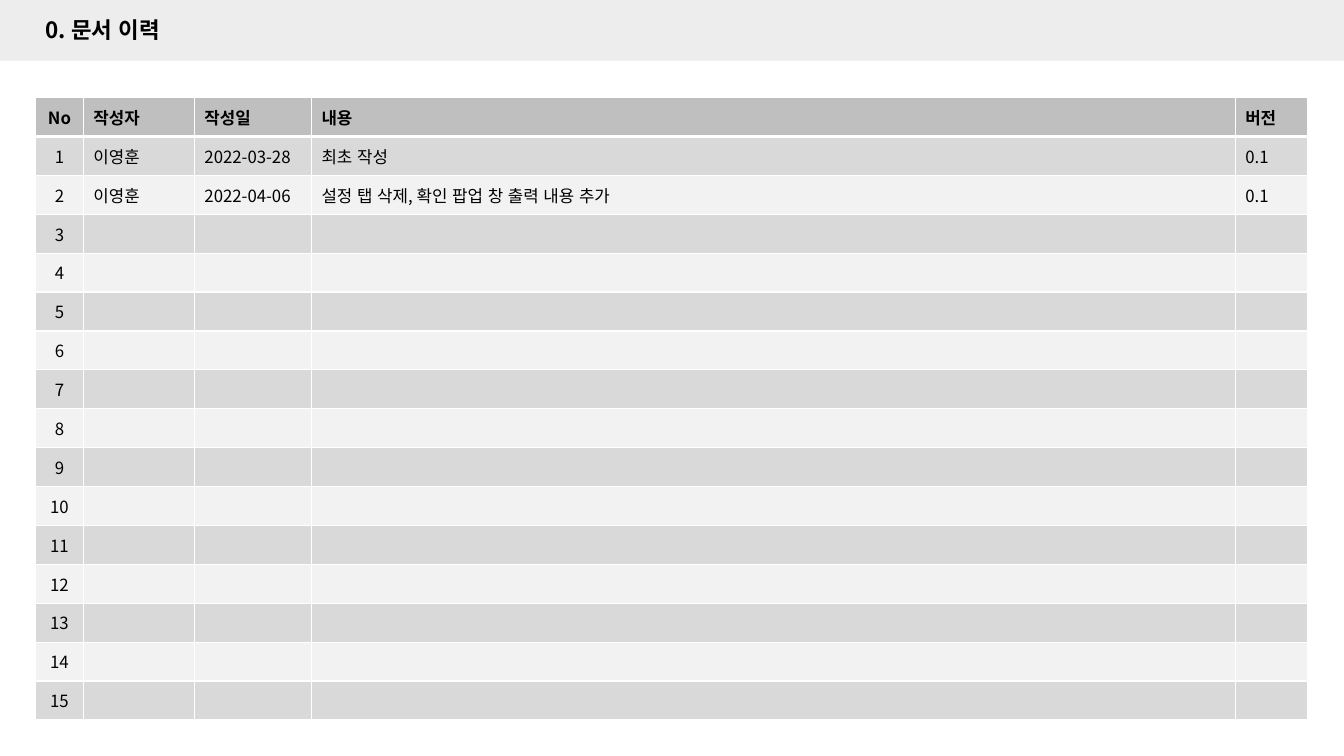
"""Build the document history slide: a title band above a revision table."""
import lxml.etree
import pptx
import pptx.dml.color
import pptx.enum.lang
import pptx.enum.shapes
import pptx.enum.text
import pptx.oxml.ns
import pptx.util

Cm = pptx.util.Cm
qn = pptx.oxml.ns.qn
THEME = {
    "font": "Noto Sans CJK KR",
    "title_size": 16,
    "table_size": 12,
    "text": "000000",
    "band": "EDEDED",
    "header": "BFBFBF",
    "rows": ["F2F2F2", "D9D9D9"],
    "border": "FFFFFF",
}
HEADERS = ["No", "작성자", "작성일", "내용", "버전"]
REVISIONS = [
    ["이영훈", "2022-03-28", "최초 작성", "0.1"],
    ["이영훈", "2022-04-06", "설정 탭 삭제, 확인 팝업 창 출력 내용 추가", "0.1"],
]
COLUMN_WIDTHS = [1.2, 2.8, 2.95, 23.28, 1.82]
ROW_HEIGHT = 0.98
ENTRY_COUNT = 15


def write_text(paragraph, text, size, bold, alignment):
    """Write one formatted run, or give an empty paragraph its type size."""
    paragraph.alignment = alignment
    if not text:
        lxml.etree.SubElement(paragraph._p, qn("a:endParaRPr"), sz=str(size * 100))
        return
    run = paragraph.add_run()
    run.text = text
    run.font.color.rgb = pptx.dml.color.RGBColor.from_string(THEME["text"])
    formats = {
        "name": THEME["font"],
        "size": pptx.util.Pt(size),
        "bold": bold,
        "language_id": pptx.enum.lang.MSO_LANGUAGE_ID.KOREAN,
    }
    for name, value in formats.items():
        setattr(run.font, name, value)
    latin = run.font._element.find(qn("a:latin"))
    latin.addnext(latin.makeelement(qn("a:ea"), {"typeface": THEME["font"]}))


def add_border(cell, side, points):
    """Draw one side of a table cell."""
    line = lxml.etree.SubElement(
        cell._tc.get_or_add_tcPr(), qn("a:" + side), w=str(pptx.util.Pt(points))
    )
    fill = lxml.etree.SubElement(line, qn("a:solidFill"))
    lxml.etree.SubElement(fill, qn("a:srgbClr"), val=THEME["border"])


presentation = pptx.Presentation()
presentation.slide_width = Cm(33.87)
presentation.slide_height = Cm(19.05)
slide = presentation.slides.add_slide(presentation.slide_layouts[5])
left = pptx.enum.text.PP_ALIGN.LEFT
center = pptx.enum.text.PP_ALIGN.CENTER
middle = pptx.enum.text.MSO_ANCHOR.MIDDLE

band = slide.shapes.add_shape(
    pptx.enum.shapes.MSO_SHAPE.RECTANGLE, 0, 0, presentation.slide_width, Cm(1.53)
)
band.shadow.inherit = False
band.fill.solid()
band.fill.fore_color.rgb = pptx.dml.color.RGBColor.from_string(THEME["band"])
band.line.fill.background()

title = slide.shapes.title
title.element.addprevious(band.element)
placement = {"left": Cm(0.9), "top": Cm(0.28), "width": Cm(5.36), "height": Cm(0.94)}
for name, value in placement.items():
    setattr(title, name, value)
title.text_frame.vertical_anchor = middle
title.text_frame.auto_size = pptx.enum.text.MSO_AUTO_SIZE.NONE
title.text_frame.word_wrap = False
write_text(title.text_frame.paragraphs[0], "0. 문서 이력", THEME["title_size"], True, left)

entries = [HEADERS]
for number in range(1, ENTRY_COUNT + 1):
    details = REVISIONS[number - 1] if number <= len(REVISIONS) else [""] * 4
    entries.append([str(number), *details])

table = slide.shapes.add_table(
    len(entries), len(HEADERS), Cm(0.9), Cm(2.46),
    Cm(sum(COLUMN_WIDTHS)), Cm(ROW_HEIGHT * len(entries)),
).table
for column, width in zip(table.columns, COLUMN_WIDTHS):
    column.width = Cm(width)

for row_index, entry in enumerate(entries):
    table.rows[row_index].height = Cm(ROW_HEIGHT)
    is_header = row_index == 0
    color = THEME["header"] if is_header else THEME["rows"][row_index % 2]
    borders = {
        "lnL": 1,
        "lnR": 1,
        "lnT": 3 if row_index == 1 else 1,
        "lnB": 3 if is_header else 1,
    }
    for column_index, text in enumerate(entry):
        cell = table.cell(row_index, column_index)
        cell.vertical_anchor = middle
        for side, points in borders.items():
            add_border(cell, side, points)
        cell.fill.solid()
        cell.fill.fore_color.rgb = pptx.dml.color.RGBColor.from_string(color)
        alignment = center if column_index == 0 else left
        write_text(
            cell.text_frame.paragraphs[0], text, THEME["table_size"], is_header, alignment
        )

presentation.save("out.pptx")
